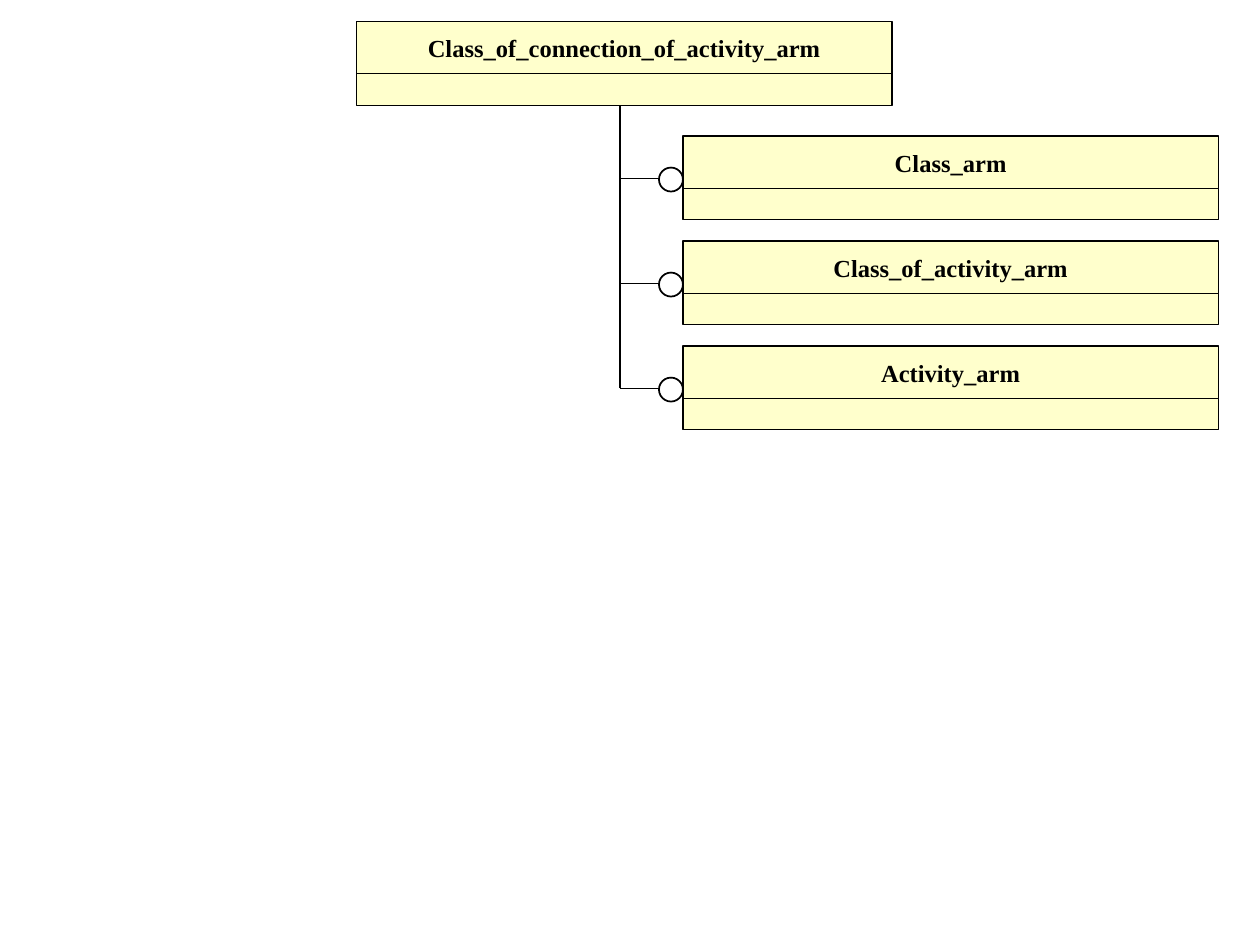
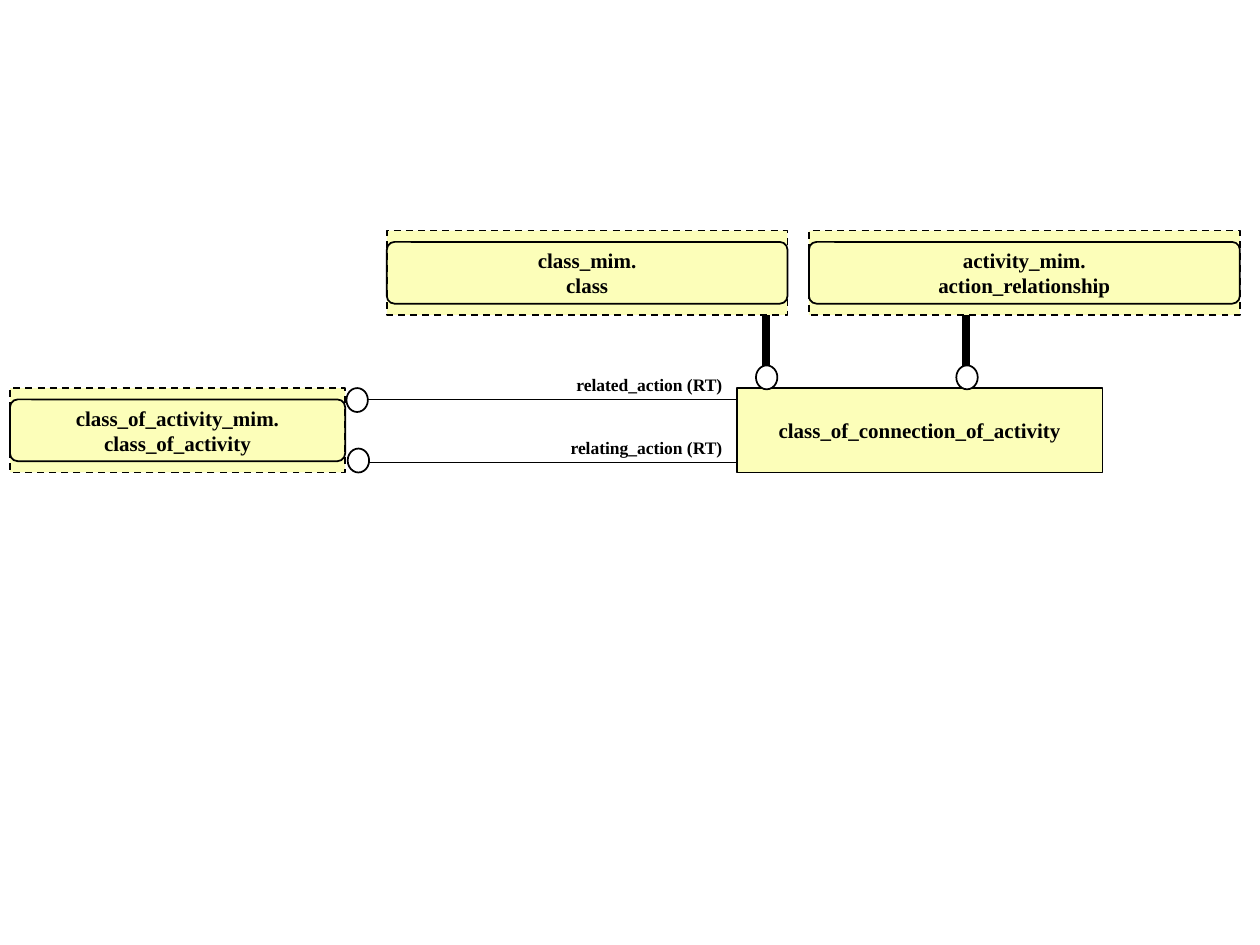
"""Builds two diagrams of the class_of_connection_of_activity model."""
import pptx
import pptx.dml.color
import pptx.enum.dml
import pptx.enum.shapes
import pptx.enum.text
import pptx.oxml.ns
import pptx.util
from lxml import etree

Inches, Pt = pptx.util.Inches, pptx.util.Pt
Kind = pptx.enum.shapes.MSO_SHAPE
Align = pptx.enum.text.PP_ALIGN
Anchor = pptx.enum.text.MSO_ANCHOR

COLORS = {"ink": "000000", "arm": "FFFFCC", "mim": "FCFEB9", "dot": "FFFFFF"}
FONT = "Times New Roman"

ROOT = ("Class_of_connection_of_activity_arm", 2.83, 0.17)
KIDS = ["Class_arm", "Class_of_activity_arm", "Activity_arm"]
KID_X, KID_Y, KID_STEP = 5.42, 1.08, 2.5 / 3
TRUNK = 4.92

ENTITY = ("class_of_connection_of_activity", 5.85, 3.08, 2.9)
REFS = [
    ("class_of_activity_mim.\nclass_of_activity", 0.08, 3.08, 2.66),
    ("activity_mim.\naction_relationship", 6.42, 1.83, 3.42),
    ("class_mim.\nclass", 3.07, 1.83, 3.18),
]
ROLES = [
    ("related_action (RT)", 3.17, 2.75, 3.08),
    ("relating_action (RT)", 3.67, 2.76, 3.56),
]
SUPERS = [7.67, 6.08]


def tint(name):
    return pptx.dml.color.RGBColor.from_string(COLORS[name])


def write(shape, text, size, align, wrap=False):
    frame = shape.text_frame
    frame.text = text
    frame.word_wrap = wrap
    for para in frame.paragraphs:
        para.alignment = align
        for run in para.runs:
            font = run.font
            font.name, font.size, font.bold = FONT, Pt(size), True
            font.color.rgb = tint("ink")


def draw(slide, kind, x, y, w, h, fill=None, line=1, text=None, size=12):
    shape = slide.shapes.add_shape(kind, *map(Inches, (x, y, w, h)))
    shape.shadow.inherit = False
    if fill:
        shape.fill.solid()
        shape.fill.fore_color.rgb = tint(fill)
    else:
        shape.fill.background()
    shape.line.color.rgb = tint("ink")
    shape.line.width = Pt(line)
    if text:
        write(shape, text, size, Align.CENTER)
        shape.text_frame.vertical_anchor = Anchor.MIDDLE
    return shape


def link(slide, x1, y1, x2, y2, width):
    line = slide.shapes.add_connector(
        pptx.enum.shapes.MSO_CONNECTOR.STRAIGHT, *map(Inches, (x1, y1, x2, y2)))
    line.line.color.rgb = tint("ink")
    line.line.width = Pt(width)
    props = line._element.spPr
    etree.SubElement(props, pptx.oxml.ns.qn("a:effectLst"))


def dot(slide, x, y, w=0.17):
    draw(slide, Kind.OVAL, x, y, w, 0.19, "dot")


def arm(slide, name, x, y):
    draw(slide, Kind.RECTANGLE, x, y, 4.25, 0.42, "arm", 0.75, name, 14)
    draw(slide, Kind.RECTANGLE, x, y + 0.415, 4.25, 0.25, "arm", 0.75)


def ref(slide, name, x, y, w):
    box = draw(slide, Kind.RECTANGLE, x, y, w, 0.67, "mim", text=name)
    box.line.dash_style = pptx.enum.dml.MSO_LINE.DASH
    inner = draw(slide, Kind.ROUNDED_RECTANGLE, x, y + 0.09, w, 0.49)
    inner.adjustments[0] = 0.125


def label(slide, text, y):
    box = slide.shapes.add_textbox(*map(Inches, (3, y, 2.83, 0.27)))
    write(box, text, 10, Align.RIGHT, True)


def tree(slide):
    arm(slide, *ROOT)
    link(slide, TRUNK, 3.08, TRUNK, 0.83, 0.75)
    for i, name in enumerate(KIDS):
        y = KID_Y + i * KID_STEP
        arm(slide, name, KID_X, y)
        link(slide, TRUNK, y + 0.335, 5.25, y + 0.335, 0.75)
        dot(slide, 5.23, y + 0.25, 0.19)


def model(slide):
    name, x, y, w = ENTITY
    draw(slide, Kind.RECTANGLE, x, y, w, 0.67, "mim", text=name)
    for role, mid, left, top in ROLES:
        link(slide, 2.92, mid, x, mid, 1)
        label(slide, role, mid - 0.25)
        dot(slide, left, top)
    for item in REFS:
        ref(slide, *item)
    for mid in SUPERS:
        link(slide, mid, 2.5, mid, 2.92, 4.5)
        dot(slide, mid - 0.08, 2.9)


def main():
    deck = pptx.Presentation()
    deck.slide_width, deck.slide_height = Inches(10), Inches(7.5)
    for build in (tree, model):
        build(deck.slides.add_slide(deck.slide_layouts[6]))
    deck.save("out.pptx")


if __name__ == "__main__":
    main()
